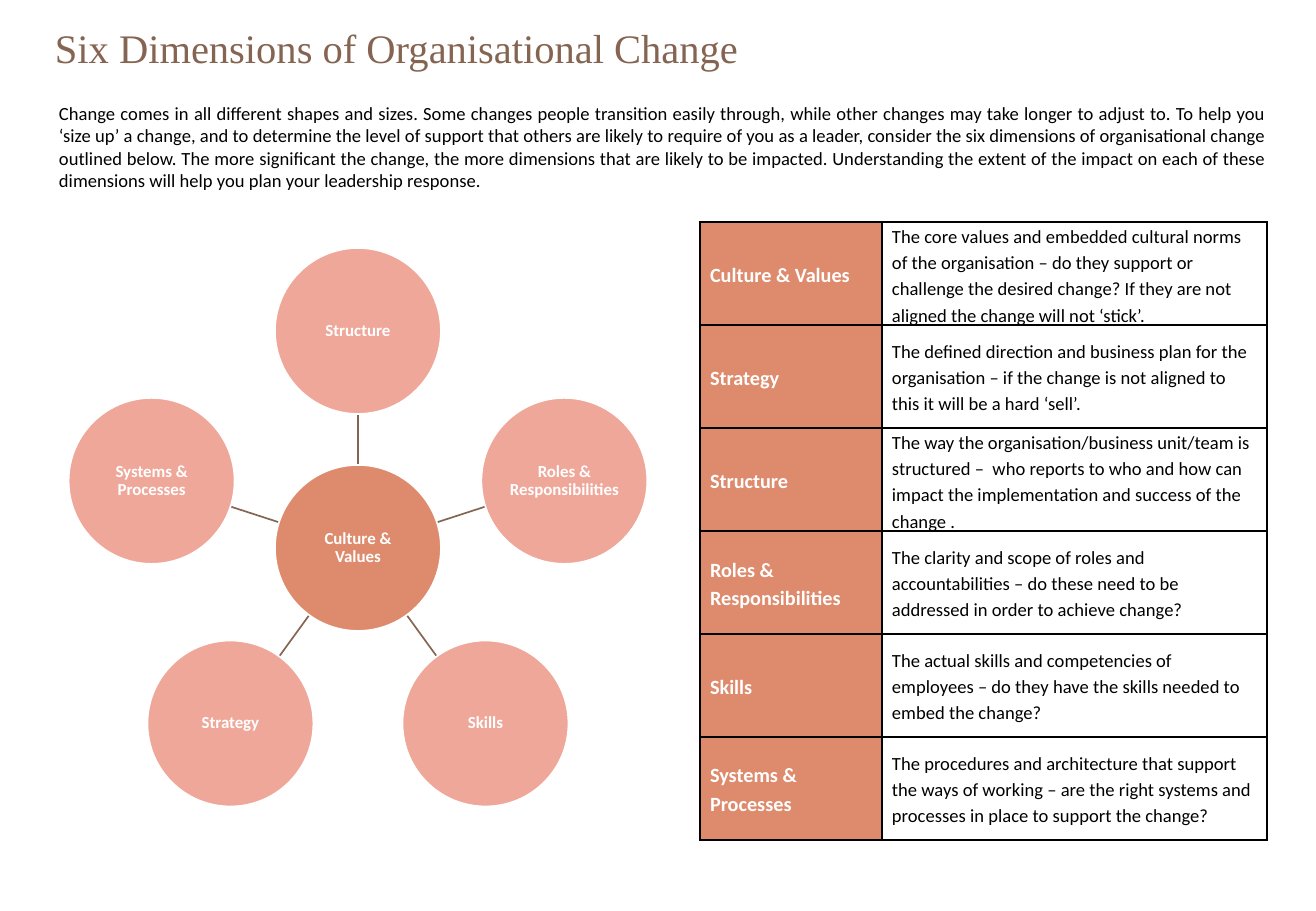
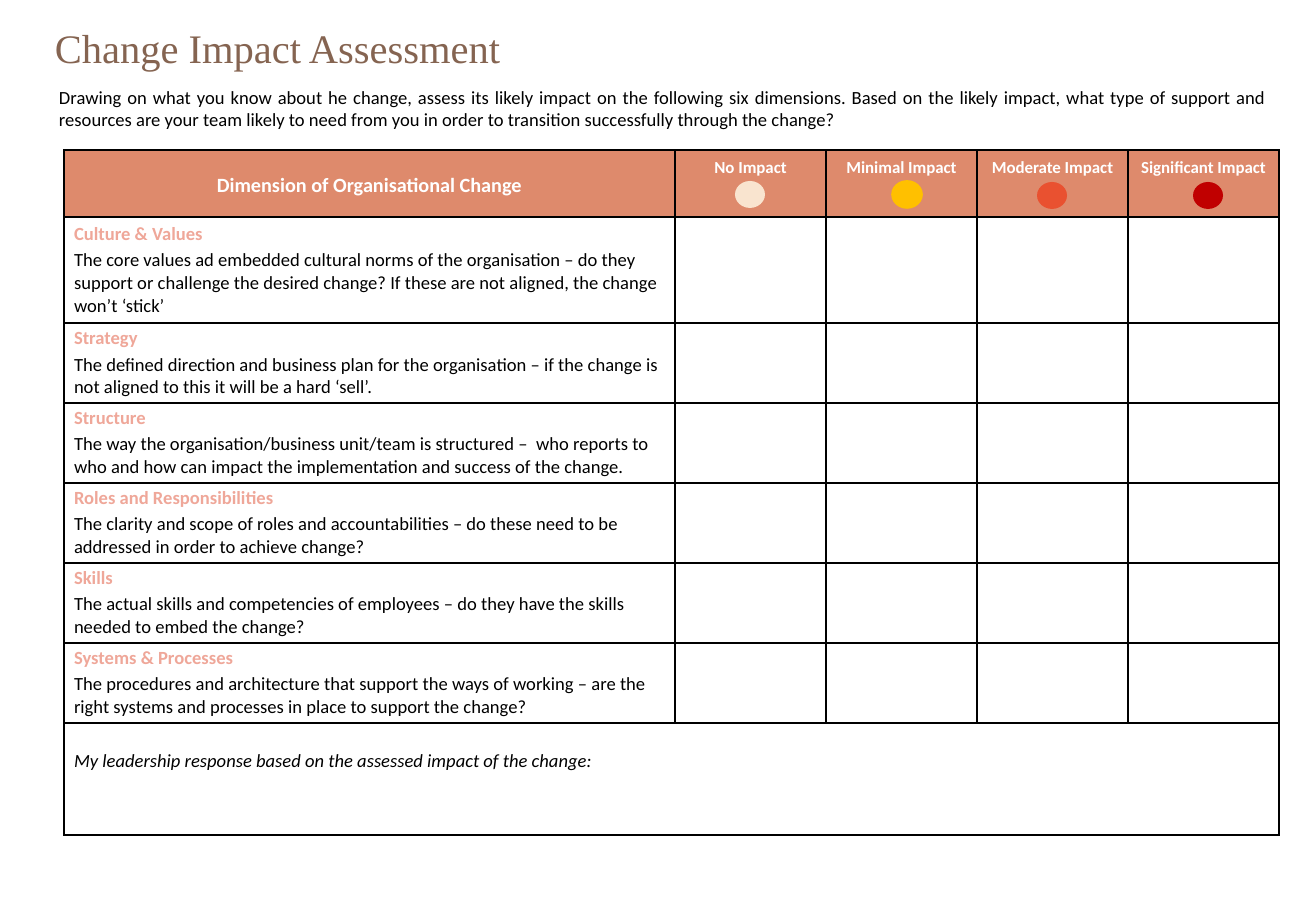
import math

import pptx
import pptx.dml.color
import pptx.enum.shapes
import pptx.enum.text
import pptx.oxml.ns
import pptx.util
from lxml import etree

PX = 914400 / 121.5
BROWN = pptx.dml.color.RGBColor(0x85, 0x64, 0x51)
TERRACOTTA = pptx.dml.color.RGBColor(0xDE, 0x8A, 0x6C)
PINK = pptx.dml.color.RGBColor(0xEF, 0xA7, 0x99)
WHITE = pptx.dml.color.RGBColor(0xFF, 0xFF, 0xFF)
BLACK = pptx.dml.color.RGBColor(0, 0, 0)
CREAM = pptx.dml.color.RGBColor(0xF9, 0xE4, 0xCF)
AMBER = pptx.dml.color.RGBColor(0xFF, 0xC0, 0x00)
ORANGE = pptx.dml.color.RGBColor(0xE9, 0x51, 0x30)
RED = pptx.dml.color.RGBColor(0xC0, 0x00, 0x00)

ALIGN = pptx.enum.text.PP_ALIGN
ANCHOR = pptx.enum.text.MSO_ANCHOR
OVAL = pptx.enum.shapes.MSO_SHAPE.OVAL
STRAIGHT = pptx.enum.shapes.MSO_CONNECTOR.STRAIGHT

dimensions = [
    ("Culture & Values",
     "The core values and embedded cultural norms of the organisation – do they support or "
     "challenge the desired change? If they are not aligned the change will not ‘stick’."),
    ("Strategy",
     "The defined direction and business plan for the organisation – if the change is not "
     "aligned to this it will be a hard ‘sell’."),
    ("Structure",
     "The way the organisation/business unit/team is structured –  who reports to who and how "
     "can impact the implementation and success of the change ."),
    ("Roles & Responsibilities",
     "The clarity and scope of roles and accountabilities – do these need to be addressed in "
     "order to achieve change?"),
    ("Skills",
     "The actual skills and competencies of employees – do they have the skills needed to "
     "embed the change?"),
    ("Systems & Processes",
     "The procedures and architecture that support the ways of working – are the right systems "
     "and processes in place to support the change?"),
]
assessed = list(dimensions)
assessed[0] = ("Culture & Values",
               "The core values ad embedded cultural norms of the organisation – do they support "
               "or challenge the desired change? If these are not aligned, the change won’t ‘stick’")
assessed[2] = ("Structure", dimensions[2][1].replace("change .", "change."))
assessed[3] = ("Roles and Responsibilities", dimensions[3][1])

pages = [
    ("Six Dimensions of Organisational Change", 96, 102,
     "Change comes in all different shapes and sizes. Some changes people transition easily "
     "through, while other changes may take longer to adjust to. To help you ‘size up’ a change, "
     "and to determine the level of support that others are likely to require of you as a leader, "
     "consider the six dimensions of organisational change outlined below. The more significant "
     "the change, the more dimensions that are likely to be impacted. Understanding the extent of "
     "the impact on each of these dimensions will help you plan your leadership response."),
    ("Change Impact Assessment", 80, 57,
     "Drawing on what you know about he change, assess its likely impact on the following six "
     "dimensions. Based on the likely impact, what type of support and resources are your team "
     "likely to need from you in order to transition successfully through the change?"),
]


def px(*lengths):
    """Turn pixel lengths into a list of EMU."""
    return [pptx.util.Emu(round(length * PX)) for length in lengths]


def write(paragraph, text, size, color, bold=False, align=ALIGN.LEFT,
          line=1.0, before=0, after=0, font="Calibri"):
    """Put text in a paragraph and set its font and spacing."""
    paragraph.text = text
    paragraph.alignment = align
    paragraph.line_spacing = line
    paragraph.space_before = pptx.util.Pt(before)
    paragraph.space_after = pptx.util.Pt(after)
    paragraph.font.name = font
    paragraph.font.size = pptx.util.Pt(size)
    paragraph.font.bold = bold
    paragraph.font.color.rgb = color


deck = pptx.Presentation()
deck.slide_width, deck.slide_height = px(1316, 911)

# Title and introduction
for title, intro_top, intro_height, intro in pages:
    slide = deck.slides.add_slide(deck.slide_layouts[6])
    heading = slide.shapes.add_textbox(*px(43, 22, 994, 57)).text_frame
    heading.word_wrap = True
    heading.vertical_anchor = ANCHOR.MIDDLE
    write(heading.paragraphs[0], title, 24, BROWN, line=0.9, font="Times New Roman")
    opening = slide.shapes.add_textbox(*px(47, intro_top, 1232, intro_height)).text_frame
    opening.word_wrap = True
    write(opening.paragraphs[0], intro, 11, BLACK, align=ALIGN.JUSTIFY)
overview, assessment = deck.slides

# Wheel of dimensions
hub_x, hub_y, radius, orbit = 358, 548, 83, 217
circles = [("Culture & Values", hub_x, hub_y, TERRACOTTA)]
for i, name in enumerate(["Structure", "Roles & Responsibilities", "Skills",
                          "Strategy", "Systems & Processes"]):
    angle = math.radians(72 * i - 90)
    cos, sin = math.cos(angle), math.sin(angle)
    circles.append((name, hub_x + orbit * cos, hub_y + orbit * sin, PINK))
    start, end = radius, orbit - radius
    spoke = overview.shapes.add_connector(STRAIGHT, *px(
        hub_x + start * cos, hub_y + start * sin, hub_x + end * cos, hub_y + end * sin))
    spoke.line.color.rgb = BROWN
    spoke.line.width = pptx.util.Pt(1)
    etree.SubElement(spoke._element.spPr, pptx.oxml.ns.qn("a:effectLst"))

for name, x, y, color in circles:
    circle = overview.shapes.add_shape(
        OVAL, *px(x - radius, y - radius, 2 * radius, 2 * radius))
    circle.shadow.inherit = False
    circle.fill.solid()
    circle.fill.fore_color.rgb = color
    circle.line.color.rgb = WHITE
    circle.line.width = pptx.util.Pt(1)
    label = circle.text_frame
    label.word_wrap = True
    label.vertical_anchor = ANCHOR.MIDDLE
    label.margin_left, label.margin_right, label.margin_top, label.margin_bottom = px(1, 1, 1, 1)
    write(label.paragraphs[0], name, 10, WHITE, True, ALIGN.CENTER, 0.9)

# Both table grids
grids = []
for slide, left, top, widths, heights in [
        (overview, 700, 222, [182, 385], [103] * 6),
        (assessment, 64, 150, [611] + [151] * 4, [67, 106] + [80] * 5 + [112])]:
    grid = slide.shapes.add_table(len(heights), len(widths),
                                  *px(left, top, sum(widths), sum(heights))).table
    grid.first_row = grid.horz_banding = False
    for column, width in zip(grid.columns, px(*widths)):
        column.width = width
    for row, height in zip(grid.rows, px(*heights)):
        row.height = height
    for cell in grid.iter_cells():
        cell.vertical_anchor = ANCHOR.MIDDLE
        cell.margin_left, cell.margin_right, cell.margin_top, cell.margin_bottom = px(10, 10, 0, 0)
        borders = cell._tc.get_or_add_tcPr()
        for side in ("a:lnL", "a:lnR", "a:lnT", "a:lnB"):
            edge = etree.SubElement(borders, pptx.oxml.ns.qn(side), w="12700")
            paint = etree.SubElement(edge, pptx.oxml.ns.qn("a:solidFill"))
            etree.SubElement(paint, pptx.oxml.ns.qn("a:srgbClr"), val=str(BLACK))
        cell.fill.background()
    grids.append(grid)
definitions, scorecard = grids

# Definitions of the dimensions
for row, (name, meaning) in enumerate(dimensions):
    name_cell, meaning_cell = definitions.cell(row, 0), definitions.cell(row, 1)
    name_cell.fill.solid()
    name_cell.fill.fore_color.rgb = TERRACOTTA
    write(name_cell.text_frame.paragraphs[0], name, 12, WHITE, True, line=1.15, after=10)
    write(meaning_cell.text_frame.paragraphs[0], meaning, 11, BLACK,
          line=1.15, before=6, after=6)

# Scorecard header with impact levels
dimension_header = scorecard.cell(0, 0)
dimension_header.fill.solid()
dimension_header.fill.fore_color.rgb = TERRACOTTA
write(dimension_header.text_frame.paragraphs[0], "Dimension of Organisational Change",
      12, WHITE, True, ALIGN.CENTER, 1.15, after=10)
levels = [("No Impact", CREAM, 735, 181), ("Minimal Impact", AMBER, 892, 181),
          ("Moderate Impact", ORANGE, 1037, 182), ("Significant Impact", RED, 1193, 182)]
for column, (level, color, dot_left, dot_top) in enumerate(levels, 1):
    level_header = scorecard.cell(0, column)
    level_header.fill.solid()
    level_header.fill.fore_color.rgb = TERRACOTTA
    level_header.vertical_anchor = ANCHOR.TOP
    level_header.margin_top = px(8)[0]
    write(level_header.text_frame.paragraphs[0], level, 10, WHITE, True, ALIGN.CENTER)
    dot = assessment.shapes.add_shape(OVAL, *px(dot_left, dot_top, 30, 27))
    dot.shadow.inherit = False
    dot.fill.solid()
    dot.fill.fore_color.rgb = color
    if color == AMBER:
        dot.line.color.rgb = AMBER
        dot.line.width = pptx.util.Pt(1)
    else:
        dot.line.fill.background()

# Scorecard rows and response
for row, (name, meaning) in enumerate(assessed, 1):
    entry = scorecard.cell(row, 0).text_frame
    write(entry.paragraphs[0], name, 11, PINK, True, after=2)
    write(entry.add_paragraph(), meaning, 11, BLACK, after=4)

response = scorecard.cell(7, 0)
response.merge(scorecard.cell(7, 4))
response.vertical_anchor = ANCHOR.TOP
response.margin_top = px(27)[0]
prompt = response.text_frame.paragraphs[0]
write(prompt, "My leadership response based on the assessed impact of the change:", 11, BLACK)
prompt.font.italic = True

deck.save("out.pptx")
